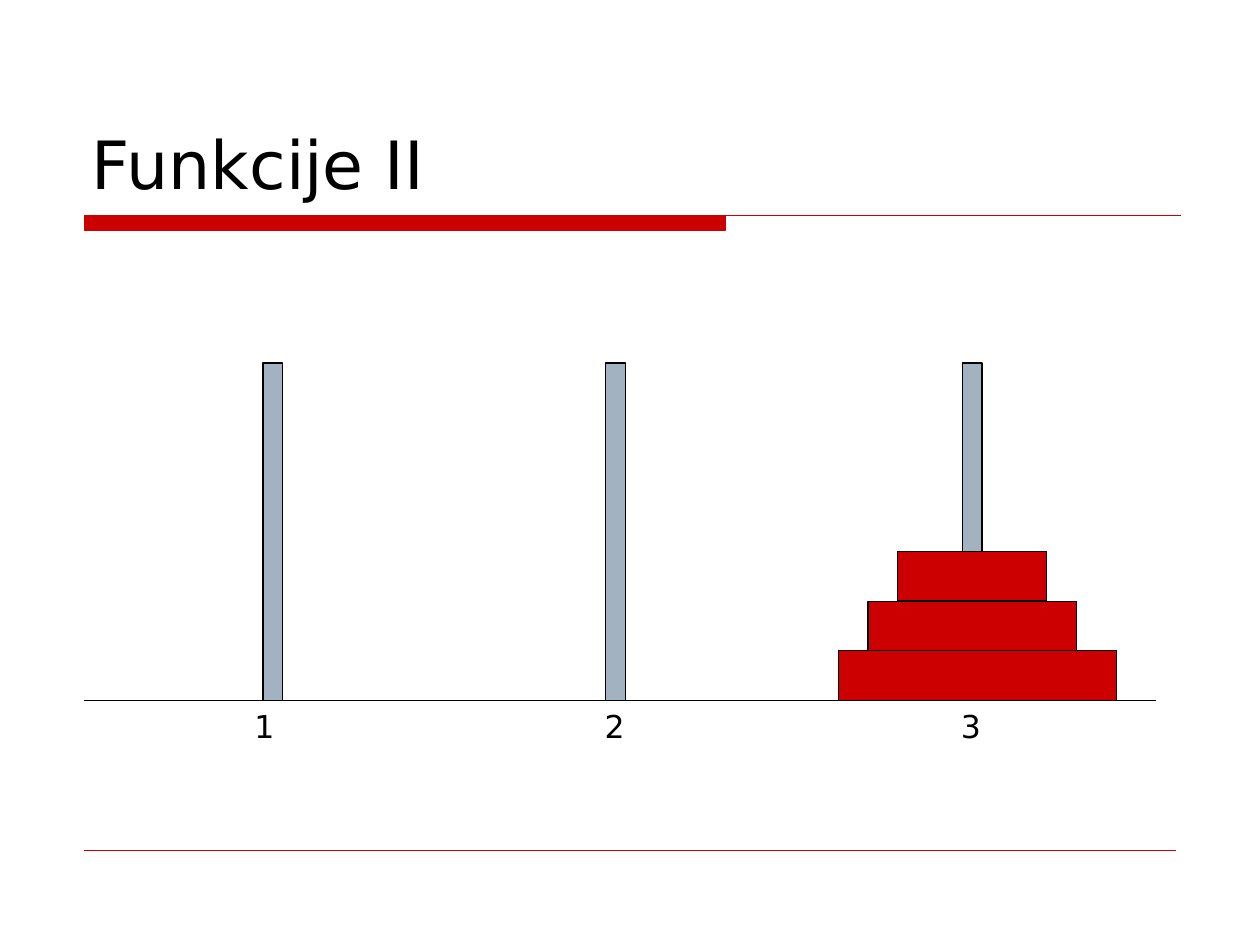
from lxml.etree import SubElement
from pptx import Presentation
from pptx.dml.color import RGBColor
from pptx.enum.shapes import MSO_CONNECTOR as Connector, MSO_SHAPE as Shape
from pptx.enum.text import MSO_ANCHOR as Anchor, MSO_AUTO_SIZE as AutoSize, PP_ALIGN as Align
from pptx.oxml.ns import qn
from pptx.util import Cm, Pt

RED = RGBColor(0xCC, 0x00, 0x00)
STEEL = RGBColor(0xA3, 0xB2, 0xC1)
BLACK = RGBColor(0x00, 0x00, 0x00)
FONT = "DejaVu Sans"

LEFT = 1.7
RULE_TOP = 4.34
GROUND = 14.12
ROD_WIDTH, ROD_HEIGHT = 0.4, 6.8
DISC_HEIGHT, DISC_STEP = 1.0, 0.6

presentation = Presentation()
presentation.slide_width, presentation.slide_height = Cm(25.4), Cm(19.05)
slide = presentation.slides.add_slide(presentation.slide_layouts[5])


def add_horizontal_line(right, y, color, width):
    line = slide.shapes.add_connector(Connector.STRAIGHT, Cm(LEFT), Cm(y), Cm(right), Cm(y))
    line.line.color.rgb = color
    line.line.width = Pt(width)
    SubElement(line._element.spPr, qn("a:effectLst"))


def add_block(left, top, width, height, fill, outline=BLACK):
    block = slide.shapes.add_shape(Shape.RECTANGLE, Cm(left), Cm(top), Cm(width), Cm(height))
    block.shadow.inherit = False
    block.fill.solid()
    block.fill.fore_color.rgb = fill
    block.line.color.rgb = outline
    block.line.width = Pt(0.75)


# Title with its rule, and the footer line
add_block(LEFT, RULE_TOP, 12.93, 0.3, RED, RED)
add_horizontal_line(23.8, RULE_TOP, RED, 0.75)
add_horizontal_line(23.7, 17.15, RED, 0.25)

title = slide.shapes.title
title.left, title.top, title.width, title.height = Cm(1.6), Cm(0.84), Cm(22.23), Cm(3.38)
title.text_frame.text = "Funkcije II"
title.text_frame.vertical_anchor = Anchor.BOTTOM
paragraph = title.text_frame.paragraphs[0]
paragraph.alignment = Align.LEFT
font = paragraph.runs[0].font
font.name, font.size, font.color.rgb = FONT, Pt(38), BLACK

# Towers of Hanoi: ground, rods, discs from the bottom up
add_horizontal_line(23.3, GROUND, BLACK, 0.75)
for rod_left in (5.3, 12.21, 19.4):
    add_block(rod_left, GROUND - ROD_HEIGHT, ROD_WIDTH, ROD_HEIGHT, STEEL)
for level, disc_width in enumerate((5.61, 4.2, 3.0)):
    add_block(16.9 + level * DISC_STEP, GROUND - (level + 1) * DISC_HEIGHT,
              disc_width, DISC_HEIGHT, RED)

# Rod numbers
for number, label_left in enumerate((4.88, 11.94, 19.12), start=1):
    label = slide.shapes.add_textbox(Cm(label_left), Cm(GROUND), Cm(0.86), Cm(1.02))
    label.text_frame.text = str(number)
    label.text_frame.word_wrap = False
    label.text_frame.auto_size = AutoSize.SHAPE_TO_FIT_TEXT
    font = label.text_frame.paragraphs[0].runs[0].font
    font.name, font.size, font.color.rgb = FONT, Pt(18), BLACK

presentation.save("out.pptx")
